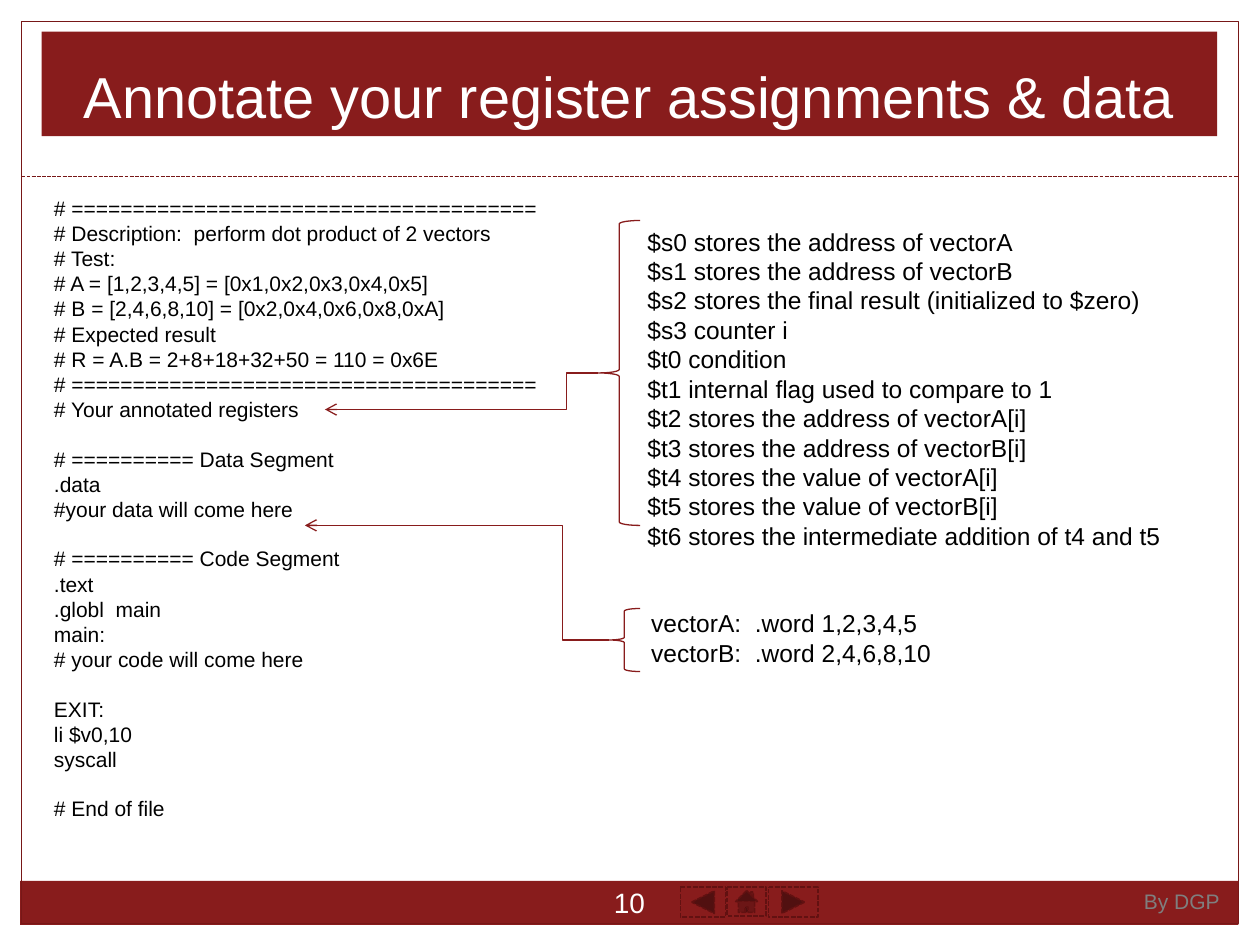
from pptx import Presentation
from pptx.dml.color import RGBColor
from pptx.enum.dml import MSO_LINE as Dash
from pptx.enum.shapes import MSO_CONNECTOR as Link, MSO_SHAPE as Kind
from pptx.enum.text import MSO_ANCHOR as Anchor, PP_ALIGN as Align
from pptx.oxml.ns import qn
from pptx.util import Inches, Pt
from lxml.etree import SubElement

RED, DARK, DEEP = "881C1C", "771717", "621111"
RULE = "# " + "=" * 38
CODE = [
    [RULE, "# Description:  perform dot product of 2 vectors", "# Test:",
     "# A = [1,2,3,4,5] = [0x1,0x2,0x3,0x4,0x5]",
     "# B = [2,4,6,8,10] = [0x2,0x4,0x6,0x8,0xA]",
     "# Expected result", "# R = A.B = 2+8+18+32+50 = 110 = 0x6E",
     RULE, "# Your annotated registers"],
    ["# ========== Data Segment", ".data", "#your data will come here"],
    ["# ========== Code Segment", ".text", ".globl  main", "main:",
     "# your code will come here"],
    ["EXIT:", "li $v0,10", "syscall"],
    ["# End of file"],
]
REGS = [
    "$s0 stores the address of vectorA",
    "$s1 stores the address of vectorB",
    "$s2 stores the final result (initialized to $zero)",
    "$s3 counter i",
    "$t0 condition",
    "$t1 internal flag used to compare to 1",
    "$t2 stores the address of vectorA[i]",
    "$t3 stores the address of vectorB[i]",
    "$t4 stores the value of vectorA[i]",
    "$t5 stores the value of vectorB[i]",
    "$t6 stores the intermediate addition of t4 and t5",
]
DATA = ["vectorA:  .word 1,2,3,4,5", "vectorB:  .word 2,4,6,8,10"]


def color(text):
    """Turn a hex string into a colour."""
    return RGBColor.from_string(text)


def paint(shape, fill=None, line=None, width=0.75, dash=None):
    """Set the fill and outline of a shape."""
    if fill:
        shape.fill.solid()
        shape.fill.fore_color.rgb = color(fill)
    else:
        shape.fill.background()
    if line:
        stroke(shape.line, line, width, dash)
    else:
        shape.line.fill.background()


def stroke(line, hue, width=0.75, dash=None):
    """Set the colour, width and dash of a line."""
    line.color.rgb = color(hue)
    line.width = Pt(width)
    if dash:
        line.dash_style = dash


def add_form(slide, kind, box, **look):
    """Add a preset shape without shadow."""
    shape = slide.shapes.add_shape(kind, *map(Inches, box))
    shape.shadow.inherit = False
    paint(shape, **look)


def style(para, size, hue, align=Align.LEFT):
    """Set the font and alignment of a paragraph."""
    para.font.name = "Arial"
    para.font.size = Pt(size)
    para.font.color.rgb = color(hue)
    para.alignment = align


def add_text(slide, box, groups, size, hue="000000", align=Align.LEFT):
    """Add groups of lines, set one line apart."""
    frame = slide.shapes.add_textbox(*map(Inches, box)).text_frame
    frame.word_wrap = True
    frame.text = "\n".join(row for group in groups for row in group)
    for para in frame.paragraphs:
        style(para, size, hue, align)
    start = 0
    for group in groups[:-1]:
        start += len(group)
        frame.paragraphs[start].space_before = Pt(size * 1.15)
    return frame


def add_link(slide, kind, start, end, hue, dash=None):
    """Add a connector without shadow."""
    link = slide.shapes.add_connector(kind, *map(Inches, start + end))
    stroke(link.line, hue, dash=dash)
    SubElement(link._element.spPr, qn("a:effectLst"))
    return link


def add_arrow(slide, start, end, bend):
    """Add an elbow arrow that turns at a share of its width."""
    link = add_link(slide, Link.ELBOW, start, end, RED)
    props = link._element.spPr
    guides = props.find(qn("a:prstGeom")).get_or_add_avLst()
    SubElement(guides, qn("a:gd"), name="adj1", fmla=f"val {round(bend * 100000)}")
    SubElement(props.find(qn("a:ln")), qn("a:tailEnd"), type="arrow")


def add_title(slide, text):
    """Place and format the title."""
    title = slide.shapes.title
    title.left, title.top, title.width, title.height = map(
        Inches, (0.33, 0.25, 9.33, 0.83))
    paint(title, RED)
    frame = title.text_frame
    frame.text = text
    frame.vertical_anchor = Anchor.BOTTOM
    style(frame.paragraphs[0], 33, "FFFFFF", Align.CENTER)


def add_frame(slide):
    """Draw the border, the footer and its buttons."""
    add_form(slide, Kind.RECTANGLE, (0.16, 6.99, 9.67, 0.35), fill=RED)
    add_form(slide, Kind.RECTANGLE, (0.17, 0.17, 9.66, 7.16), line=DARK)
    add_link(slide, Link.STRAIGHT, (0.17, 1.4), (9.83, 1.4), DARK, Dash.SQUARE_DOT)
    for kind, left, width, height in (
            (Kind.ACTION_BUTTON_FORWARD_OR_NEXT, 6.1, 0.39, 0.24),
            (Kind.ACTION_BUTTON_BACK_OR_PREVIOUS, 5.4, 0.36, 0.24),
            (Kind.ACTION_BUTTON_HOME, 5.77, 0.31, 0.23)):
        add_form(slide, kind, (left, 7.04, width, height),
                 fill=RED, line=DEEP, width=0.91, dash=Dash.SQUARE_DOT)
    page = add_text(slide, (4.66, 6.99, 0.67, 0.34), [["10"]], 16, "FFFFFF",
                    Align.CENTER)
    page.vertical_anchor = Anchor.MIDDLE
    add_text(slide, (8.98, 7, 0.85, 0.3), [["By DGP"]], 12, "7F7F7F")


def main():
    """Build and save the slide."""
    deck = Presentation()
    deck.slide_width, deck.slide_height = Inches(10), Inches(7.5)
    slide = deck.slides.add_slide(deck.slide_layouts[5])
    add_frame(slide)
    add_title(slide, "Annotate your register assignments & data")
    add_text(slide, (0.33, 1.5, 4.69, 5.5), CODE, 12)
    add_text(slide, (5.04, 1.75, 4.4, 2.9), [REGS], 14)
    add_form(slide, Kind.LEFT_BRACE, (4.75, 1.75, 0.33, 2.42), line=RED)
    add_arrow(slide, (4.75, 2.96), (2.58, 3.25), 0.117)
    add_text(slide, (5.07, 4.78, 2.42, 0.8), [DATA], 14)
    add_form(slide, Kind.LEFT_BRACE, (4.83, 4.83, 0.25, 0.5), line=RED)
    add_arrow(slide, (4.83, 5.08), (2.42, 4.17), 0.151)
    deck.save("out.pptx")


if __name__ == "__main__":
    main()
